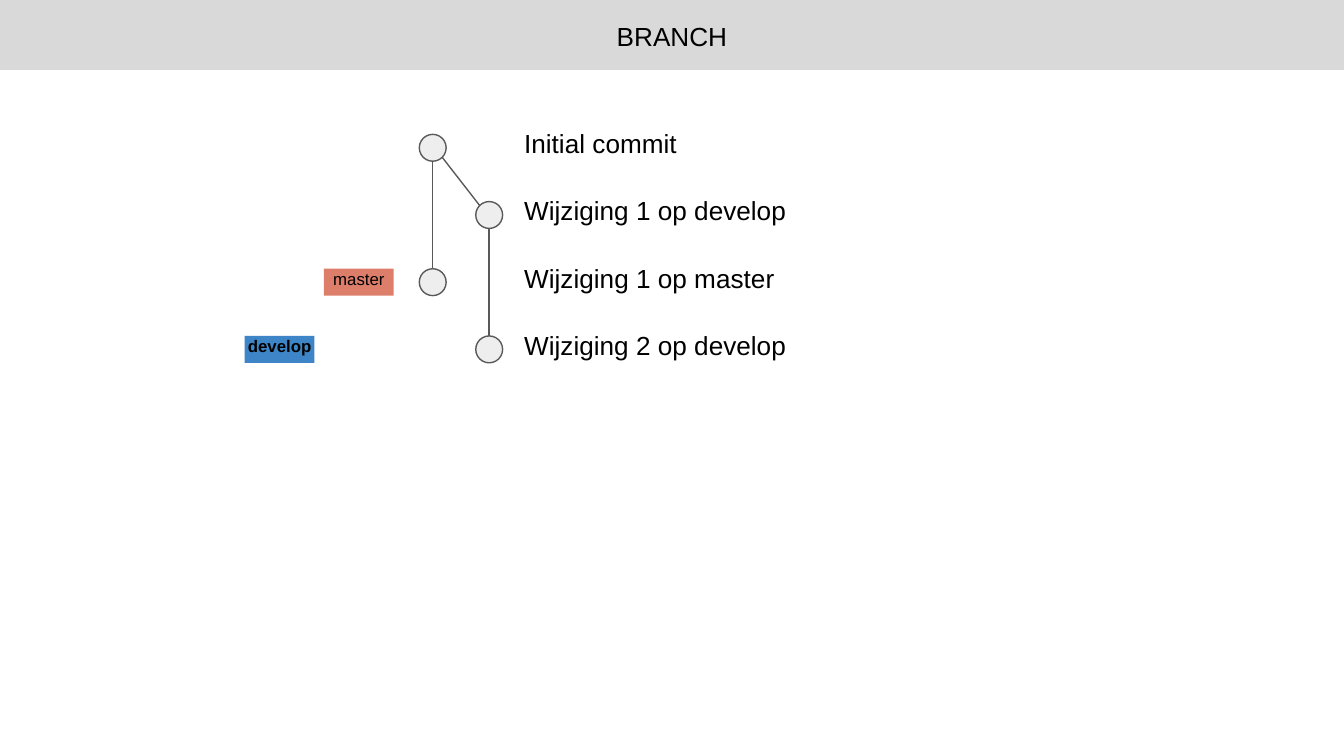
"""Build a slide that shows commits on a master and a develop branch."""
import lxml.etree
import pptx
import pptx.dml.color
import pptx.enum.shapes
import pptx.enum.text
import pptx.oxml.ns
import pptx.util

Inches = pptx.util.Inches
Color = pptx.dml.color.RGBColor.from_string
Align = pptx.enum.text.PP_ALIGN
Shape = pptx.enum.shapes.MSO_SHAPE


class Theme:
    font = "Arial"
    text = Color("000000")
    bar = Color("D9D9D9")
    dot = Color("EEEEEE")
    line = Color("595959")
    master = Color("DD7E6B")
    develop = Color("3D85C6")
    large = pptx.util.Pt(14)
    small = pptx.util.Pt(9)
    stroke = pptx.util.Pt(0.75)


def write(frame, text, size, align, bold=False, insets=(0, 0, 0, 0)):
    frame.word_wrap = True
    frame.vertical_anchor = pptx.enum.text.MSO_ANCHOR.TOP
    frame.margin_left, frame.margin_top, frame.margin_right, frame.margin_bottom = map(Inches, insets)
    para = frame.paragraphs[0]
    para.alignment = align
    run = para.add_run()
    run.text = text
    run.font.name = Theme.font
    run.font.size = size
    run.font.bold = bold
    run.font.color.rgb = Theme.text


def place(kind, left, top, width, height, fill):
    shape = slide.shapes.add_shape(kind, Inches(left), Inches(top), Inches(width), Inches(height))
    shape.shadow.inherit = False
    shape.fill.solid()
    shape.fill.fore_color.rgb = fill
    shape.line.fill.background()
    return shape


deck = pptx.Presentation()
deck.slide_width = Inches(10)
deck.slide_height = Inches(10 * 9 / 16)
slide = deck.slides.add_slide(deck.slide_layouts[5])

title = slide.shapes.title
title.left, title.top, title.width, title.height = map(Inches, (0, 0, 10, 0.52))
title.fill.solid()
title.fill.fore_color.rgb = Theme.bar
write(title.text_frame, "BRANCH", Theme.large, Align.CENTER, insets=(0.1, 0.15, 0.1, 0.1))

first, step, size = 1, 0.5, 0.2
half = size / 2
slant = 0.07
lanes = {"master": 3.22, "develop": 3.64}

commits = [
    ("Initial commit", "master", 1.2),
    ("Wijziging 1 op develop", "develop", 2.03),
    ("Wijziging 1 op master", "master", 1.95),
    ("Wijziging 2 op develop", "develop", 2.03),
]
spots = []
for row, (text, lane, width) in enumerate(commits):
    top = first + row * step
    dot = place(Shape.OVAL, lanes[lane] - half, top, size, size, Theme.dot)
    dot.line.color.rgb = Theme.line
    dot.line.width = Theme.stroke
    spots.append((lanes[lane], top + half))
    label = slide.shapes.add_textbox(Inches(3.9), Inches(top - 0.05), Inches(width), Inches(0.3))
    write(label.text_frame, text, Theme.large, Align.LEFT)

for start, end, shift_x, shift_y in [(0, 1, slant, slant), (0, 2, 0, half), (1, 3, 0, half)]:
    (x1, y1), (x2, y2) = spots[start], spots[end]
    link = slide.shapes.add_connector(
        pptx.enum.shapes.MSO_CONNECTOR.STRAIGHT,
        Inches(x1 + shift_x), Inches(y1 + shift_y), Inches(x2 - shift_x), Inches(y2 - shift_y))
    link.line.color.rgb = Theme.line
    link.line.width = Theme.stroke
    lxml.etree.SubElement(link._element.spPr, pptx.oxml.ns.qn("a:effectLst"))

for name, left, row, fill, bold in [
    ("master", 2.41, 2, Theme.master, False),
    ("develop", 1.82, 3, Theme.develop, True),
]:
    tag = place(Shape.RECTANGLE, left, first + row * step, 0.52, size, fill)
    write(tag.text_frame, name, Theme.small, Align.CENTER, bold)

deck.save("out.pptx")
